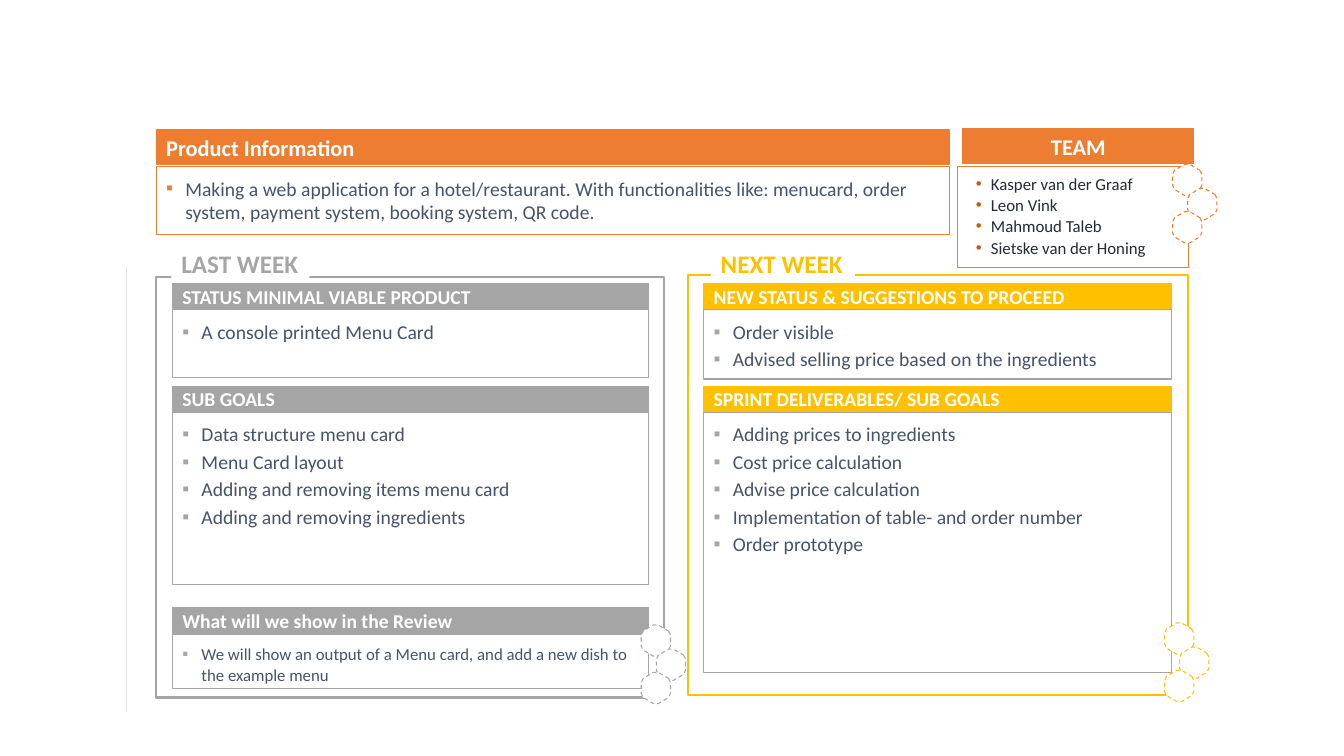
from lxml.etree import SubElement
from pptx import Presentation
from pptx.dml.color import RGBColor
from pptx.enum.dml import MSO_LINE
from pptx.enum.shapes import MSO_CONNECTOR, MSO_SHAPE
from pptx.enum.text import MSO_ANCHOR as ANCHOR, PP_ALIGN as ALIGN
from pptx.oxml.ns import qn
from pptx.util import Emu, Pt

PX = 9144
FONT = "Calibri"
COLORS = {
    "orange": "ED7D31", "gray": "A5A5A5", "yellow": "FFC000", "white": "FFFFFF",
    "slate": "44546A", "navy": "222A35", "rust": "C55A11", "rule": "E7E6E6",
}
HEXAGON = [(27, 6), (29, 10), (29, 21), (27, 25), (17, 31), (12, 31),
           (2, 25), (0, 21), (0, 10), (2, 6), (12, 0), (17, 0)]
CLUSTER = [(0, 0), (15, 24), (0, 47)]


def px(length):
    return Emu(length * PX)


def rgb(color):
    return RGBColor.from_string(COLORS[color])


def paint(shape, fill=None, line=None, weight=0.75):
    shape.shadow.inherit = False
    if fill:
        shape.fill.solid()
        shape.fill.fore_color.rgb = rgb(fill)
    else:
        shape.fill.background()
    if line:
        shape.line.color.rgb = rgb(line)
        shape.line.width = Pt(weight)
    else:
        shape.line.fill.background()


def rectangle(slide, box, **style):
    shape = slide.shapes.add_shape(MSO_SHAPE.RECTANGLE, *map(px, box))
    paint(shape, **style)
    return shape


def set_frame(shape, anchor, inset_x=10, inset_y=10, wrap=True):
    frame = shape.text_frame
    frame.word_wrap = wrap
    frame.vertical_anchor = anchor
    frame.margin_left = frame.margin_right = px(inset_x)
    frame.margin_top = frame.margin_bottom = px(inset_y)
    return frame


def write(paragraph, text, size, color, bold=False, align=ALIGN.LEFT):
    paragraph.alignment = align
    run = paragraph.add_run()
    run.text = text
    run.font.name = FONT
    run.font.size = Pt(size)
    run.font.bold = bold
    run.font.color.rgb = rgb(color)


def space_before(paragraph, percent):
    spacing = SubElement(paragraph._p.get_or_add_pPr(), qn("a:spcBef"))
    SubElement(spacing, qn("a:spcPct")).set("val", str(percent * 1000))


def add_bullet(paragraph, mark, color, margin, hang):
    properties = paragraph._p.get_or_add_pPr()
    properties.set("marL", str(margin * PX))
    properties.set("indent", str(-hang * PX))
    tint = SubElement(properties, qn("a:buClr"))
    SubElement(tint, qn("a:srgbClr")).set("val", COLORS[color])
    SubElement(properties, qn("a:buFont")).set("typeface", "Arial")
    SubElement(properties, qn("a:buChar")).set("char", mark)


def banner(slide, box, text, color, size=14, align=ALIGN.LEFT):
    shape = rectangle(slide, box, fill=color, line=color)
    heading = set_frame(shape, ANCHOR.MIDDLE).paragraphs[0]
    space_before(heading, 20)
    write(heading, text, size, "white", True, align)


def bullet_box(slide, box, items, line, size=14, color="slate", mark="▪",
               mark_color=None, margin=19, hang=19, before=20, leading=None):
    frame = set_frame(rectangle(slide, box, line=line), ANCHOR.TOP)
    for index, item in enumerate(items):
        paragraph = frame.add_paragraph() if index else frame.paragraphs[0]
        if leading:
            paragraph.line_spacing = leading
        space_before(paragraph, before)
        add_bullet(paragraph, mark, mark_color or line, margin, hang)
        write(paragraph, item, size, color)


def hexagons(slide, left, top, color):
    for dx, dy in CLUSTER:
        corners = [(left + dx + x, top + dy + y) for x, y in HEXAGON]
        builder = slide.shapes.build_freeform(*corners[0], scale=PX)
        builder.add_line_segments(corners[1:], close=True)
        cell = builder.convert_to_shape()
        paint(cell, "white", color)
        cell.line.dash_style = MSO_LINE.DASH


def margin_rule(slide, x, top, bottom):
    rule = slide.shapes.add_connector(
        MSO_CONNECTOR.STRAIGHT, px(x), px(bottom), px(x), px(top))
    rule.line.color.rgb = rgb("rule")
    rule.line.width = Pt(0.5)
    SubElement(rule._element.spPr, qn("a:effectLst"))


def product_information(slide, left, top, width):
    banner(slide, (left, top, width, 34), "Product Information", "orange", 16)
    bullet_box(slide, (left, top + 36, width, 68), [
        "Making a web application for a hotel/restaurant. With functionalities like: "
        "menucard, order system, payment system, booking system, QR code."], "orange")


def team(slide, left, top, width):
    banner(slide, (left + 5, top, width, 34), "TEAM", "orange", 16, ALIGN.CENTER)
    members = ["Kasper van der Graaf", "Leon Vink", "Mahmoud Taleb",
               "Sietske van der Honing"]
    bullet_box(slide, (left, top + 37, width, 100), members, "orange", 12, "navy",
               "•", "rust", margin=23, hang=15, before=25, leading=0.85)
    hexagons(slide, left + 213, top + 35, "orange")


def week(slide, box, title, title_box, color, sections):
    left, top, width, height = box
    rectangle(slide, box, line=color, weight=1.5)
    label = rectangle(slide, title_box, fill="white")
    frame = set_frame(label, ANCHOR.TOP, inset_y=5, wrap=False)
    write(frame.paragraphs[0], title, 18, color, True)
    for section_top, body_height, size, heading, items in sections:
        inner = left + 16, section_top, width - 32
        banner(slide, (*inner, 26), heading, color)
        bullet_box(slide, (left + 16, section_top + 26, width - 32, body_height),
                   items, "gray", size)
    hexagons(slide, left + width - 23, top + height - 72, color)


def main():
    deck = Presentation()
    deck.slide_width, deck.slide_height = px(1333), px(750)
    slide = deck.slides.add_slide(deck.slide_layouts[6])
    margin_rule(slide, 125, 265, 706)
    product_information(slide, 155, 129, 787)
    team(slide, 950, 128, 229)
    week(slide, (155, 275, 504, 417), "LAST WEEK", (170, 241, 137, 40), "gray", [
        (281, 68, 14, "STATUS MINIMAL VIABLE PRODUCT", ["A console printed Menu Card"]),
        (383, 171, 14, "SUB GOALS", [
            "Data structure menu card", "Menu Card layout",
            "Adding and removing items menu card", "Adding and removing ingredients"]),
        (603, 54, 12, "What will we show in the Review", [
            "We will show an output of a Menu card, and add a new dish to "
            "the example menu"]),
    ])
    week(slide, (682, 273, 496, 417), "NEXT WEEK", (705, 241, 143, 40), "yellow", [
        (281, 69, 14, "NEW STATUS & SUGGESTIONS TO PROCEED", [
            "Order visible", "Advised selling price based on the ingredients"]),
        (383, 258, 14, "SPRINT DELIVERABLES/ SUB GOALS", [
            "Adding prices to ingredients", "Cost price calculation",
            "Advise price calculation", "Implementation of table- and order number",
            "Order prototype"]),
    ])
    deck.save("out.pptx")


if __name__ == "__main__":
    main()
